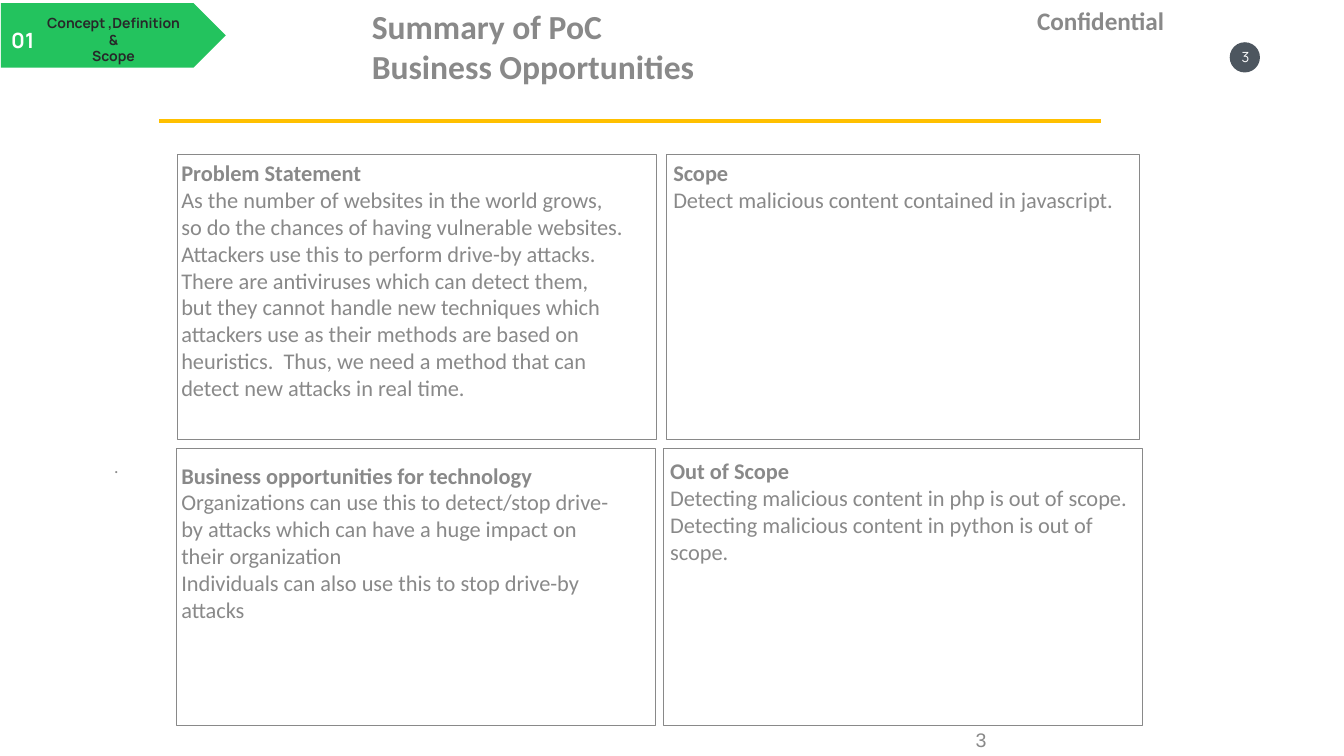
from lxml.etree import SubElement
from pptx import Presentation
from pptx.dml.color import RGBColor
from pptx.enum.shapes import MSO_CONNECTOR, MSO_SHAPE
from pptx.enum.text import MSO_ANCHOR, PP_ALIGN
from pptx.oxml.ns import qn
from pptx.util import Pt

GRAY = RGBColor(0x89, 0x89, 0x89)
SLATE = RGBColor(0x4D, 0x56, 0x5F)
GREEN = RGBColor(0x23, 0xC3, 0x5E)
AMBER = RGBColor(0xFF, 0xC0, 0x00)
INK = RGBColor(0x27, 0x28, 0x29)
WHITE = RGBColor(0xFF, 0xFF, 0xFF)

DEFAULT_INSETS = (7.2, 3.6)

# Frame box, text box, heading, body paragraphs
PANELS = [
    ((126.7, 110.2, 342, 203.8), (122.4, 110.2, 329.8, 181.4),
     "Problem Statement",
     ["As the number of websites in the world grows, so do the chances of having "
      "vulnerable websites. Attackers use this to perform drive-by attacks. There are "
      "antiviruses which can detect them, but they cannot handle new techniques which "
      "attackers use as their methods are based on heuristics.\u00a0 Thus, we need a "
      "method that can detect new attacks in real time."]),
    ((475.9, 110.2, 338.4, 203.8), (473.8, 110.2, 342, 46.1),
     "Scope",
     ["Detect malicious content contained in javascript."]),
    ((126, 320.4, 342, 198), (122.4, 326.2, 329.8, 123.8),
     "Business opportunities for technology",
     ["Organizations can use this to detect/stop drive-by attacks which can have a huge "
      "impact on their organization",
      "Individuals can also use this to stop drive-by attacks"]),
    ((473.8, 320.4, 342, 198), (471.6, 323.3, 342, 104.4),
     "Out of Scope",
     ["Detecting malicious content in php is out of scope.",
      "Detecting malicious content in python is out of scope."]),
]


def add_text(slide, box, lines, font_name, size, color, bold=False, centered=False,
             anchor=MSO_ANCHOR.TOP, insets=DEFAULT_INSETS, wrap=True):
    """Add a text box with one paragraph per line and return its paragraphs."""
    frame = slide.shapes.add_textbox(*map(Pt, box)).text_frame
    frame.word_wrap = wrap
    frame.vertical_anchor = anchor
    frame.margin_left = frame.margin_right = Pt(insets[0])
    frame.margin_top = frame.margin_bottom = Pt(insets[1])
    frame.text = "\n".join(lines)
    for paragraph in frame.paragraphs:
        paragraph.alignment = PP_ALIGN.CENTER if centered else PP_ALIGN.LEFT
        font = paragraph.font
        font.name, font.size, font.bold = font_name, Pt(size), bold
        font.color.rgb = color
    return frame.paragraphs


def add_filled_shape(slide, kind, box, color):
    shape = slide.shapes.add_shape(kind, *map(Pt, box))
    shape.shadow.inherit = False
    shape.fill.solid()
    shape.fill.fore_color.rgb = color
    shape.line.fill.background()


def add_frame(slide, box):
    shape = slide.shapes.add_shape(MSO_SHAPE.RECTANGLE, *map(Pt, box))
    shape.shadow.inherit = False
    shape.fill.background()
    shape.line.color.rgb = GRAY
    shape.line.width = Pt(0.75)


def add_rule(slide, left, right, top):
    rule = slide.shapes.add_connector(
        MSO_CONNECTOR.STRAIGHT, Pt(left), Pt(top), Pt(right), Pt(top))
    rule.line.color.rgb = AMBER
    rule.line.width = Pt(3)
    SubElement(rule._element.spPr, qn("a:effectLst"))


def add_panel(slide, frame_box, text_box, heading, body):
    add_frame(slide, frame_box)
    paragraphs = add_text(slide, text_box, [heading, *body], "Calibri", 16, GRAY)
    paragraphs[0].font.bold = True


def add_section_tag(slide):
    add_filled_shape(slide, MSO_SHAPE.PENTAGON, (0.7, 2.2, 160.6, 46.1), GREEN)
    add_text(slide, (23.8, 5.8, 114.5, 43.9), ["Concept ,Definition", "&", "Scope"],
             "Manrope", 10, INK, bold=True, centered=True, anchor=MSO_ANCHOR.BOTTOM)
    add_text(slide, (0, 15.8, 32.4, 25.2), ["01"], "Manrope", 15, WHITE, bold=True,
             centered=True, anchor=MSO_ANCHOR.MIDDLE, insets=(0, 3.6))


def add_page_badge(slide):
    add_filled_shape(slide, MSO_SHAPE.OVAL, (878.4, 30.2, 21.6, 21.6), SLATE)
    add_text(slide, (882, 34.6, 15.1, 12.2), ["3"], "Manrope", 10, WHITE, centered=True,
             anchor=MSO_ANCHOR.MIDDLE, insets=(0, 0), wrap=False)


def main():
    presentation = Presentation()
    presentation.slide_width, presentation.slide_height = Pt(960), Pt(540)
    slide = presentation.slides.add_slide(presentation.slide_layouts[6])

    add_page_badge(slide)
    add_section_tag(slide)
    add_text(slide, (258.5, 0.7, 451.4, 65.5), ["Summary of PoC", "Business Opportunities"],
             "Calibri", 24, GRAY, bold=True)
    add_text(slide, (733.7, 0, 105.8, 28.8), ["Confidential"], "Calibri", 18, GRAY,
             bold=True, wrap=False)
    add_rule(slide, 113.8, 786.2, 86.4)
    for panel in PANELS:
        add_panel(slide, *panel)
    dot = add_text(slide, (18, 321.1, 130.3, 20.2), ["."], "Lato", 12, GRAY,
                   centered=True, insets=(3.6, 2.2))
    dot[0].line_spacing = Pt(17.5)
    add_text(slide, (689.8, 516.2, 149.8, 23.8), ["3"], "Arial", 14, GRAY)

    presentation.save("out.pptx")


if __name__ == "__main__":
    main()
